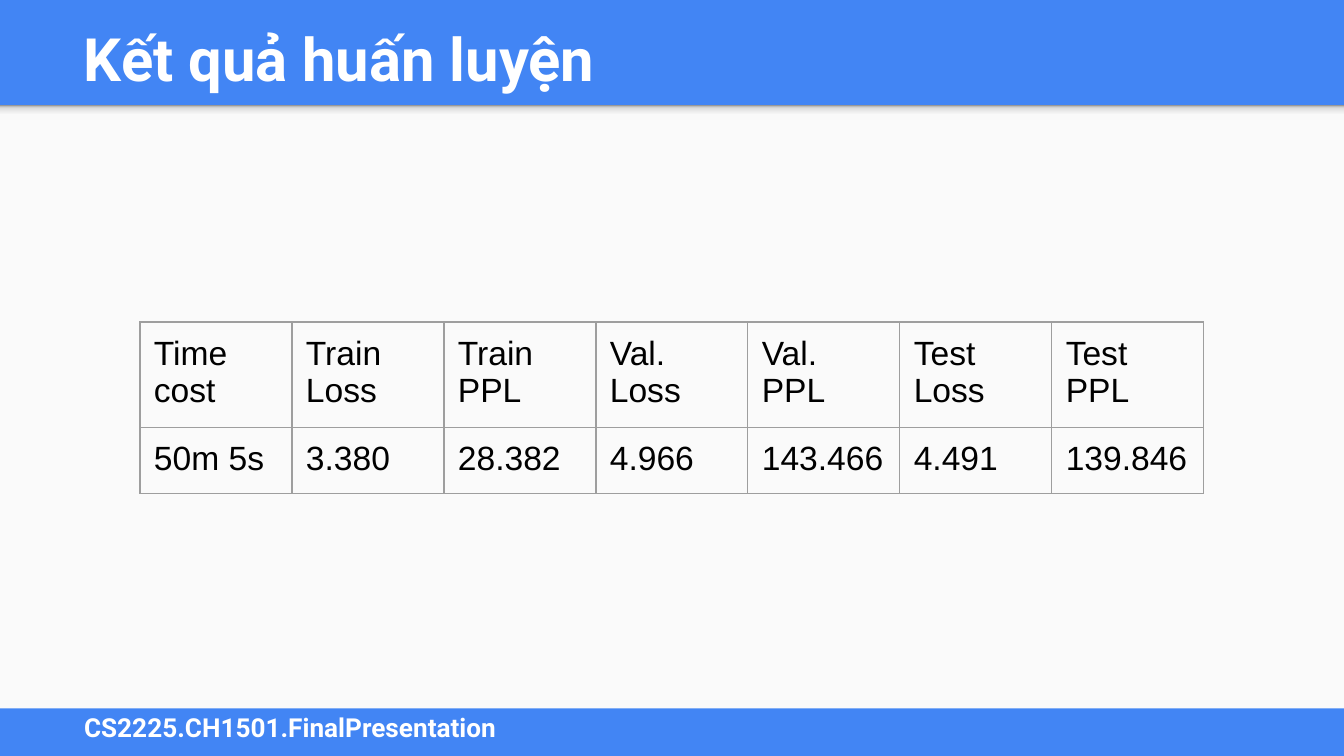
from lxml.etree import SubElement
from pptx import Presentation
from pptx.dml.color import RGBColor
from pptx.enum.shapes import MSO_SHAPE
from pptx.enum.text import MSO_ANCHOR
from pptx.oxml.ns import qn
from pptx.util import Emu, Pt

BLUE, PANEL, WHITE, BLACK, GRAY = "4285F4", "FAFAFA", "FFFFFF", "000000", "9E9E9E"


def px(count):
    return Emu(count * 9525)


def color(value):
    return RGBColor.from_string(value)


deck = Presentation()
deck.slide_width, deck.slide_height = px(960), px(540)
page = deck.slides.add_slide(deck.slide_layouts[6])
page.background.fill.solid()
page.background.fill.fore_color.rgb = color(BLUE)

panel = page.shapes.add_shape(MSO_SHAPE.RECTANGLE, 0, px(76), px(960), px(430))
panel.fill.solid()
panel.fill.fore_color.rgb = color(PANEL)

header_shade = page.shapes.add_shape(MSO_SHAPE.RECTANGLE, 0, px(75), px(960), px(11))
header_shade.fill.gradient()
header_shade.fill.gradient_angle = 90
stops = header_shade.fill._fill._gradFill.find(qn("a:gsLst"))
stops.clear()
for position, shade in ((0, "F9F9F9"), (36, "F9F9F9"), (80, "DEDEDE"), (100, "999999")):
    stop = SubElement(stops, qn("a:gs"), pos=str(position * 1000))
    SubElement(stop, qn("a:srgbClr"), val=shade)

for shape in (panel, header_shade):
    shape.shadow.inherit = False
    shape.line.fill.background()

for text, top, width, height, size in (
    ("CS2225.CH1501.FinalPresentation", 504, 853, 31, 14),
    ("Kết quả huấn luyện", 6, 863, 70, 32),
):
    box = page.shapes.add_textbox(px(50), px(top), px(width), px(height))
    frame = box.text_frame
    frame.word_wrap = True
    frame.vertical_anchor = MSO_ANCHOR.MIDDLE
    frame.margin_left = frame.margin_right = px(10)
    frame.margin_top = frame.margin_bottom = px(10)
    frame.text = text
    font = frame.paragraphs[0].runs[0].font
    font.name, font.size, font.bold = "Roboto", Pt(size), True
    font.color.rgb = color(WHITE)

results = (
    ("Time cost", "Train Loss", "Train PPL", "Val. Loss", "Val. PPL", "Test Loss", "Test PPL"),
    ("50m 5s", "3.380", "28.382", "4.966", "143.466", "4.491", "139.846"),
)
table = page.shapes.add_table(2, 7, px(100), px(230), px(760), px(119)).table
table.first_row = table.horz_banding = False
for column in table.columns:
    column.width = px(760) // 7
for row, height, values in zip(table.rows, (73, 46), results):
    row.height = px(height)
    for cell, value in zip(row.cells, values):
        cell.margin_left = cell.margin_right = px(10)
        cell.margin_top = cell.margin_bottom = px(9)
        cell.text = value
        font = cell.text_frame.paragraphs[0].runs[0].font
        font.name, font.size = "Arial", Pt(18)
        font.color.rgb = color(BLACK)
        properties = cell._tc.get_or_add_tcPr()
        for side in ("a:lnL", "a:lnR", "a:lnT", "a:lnB"):
            border = SubElement(properties, qn(side), w=str(Pt(0.75)))
            fill = SubElement(border, qn("a:solidFill"))
            SubElement(fill, qn("a:srgbClr"), val=GRAY)
        cell.fill.background()

deck.save("out.pptx")
